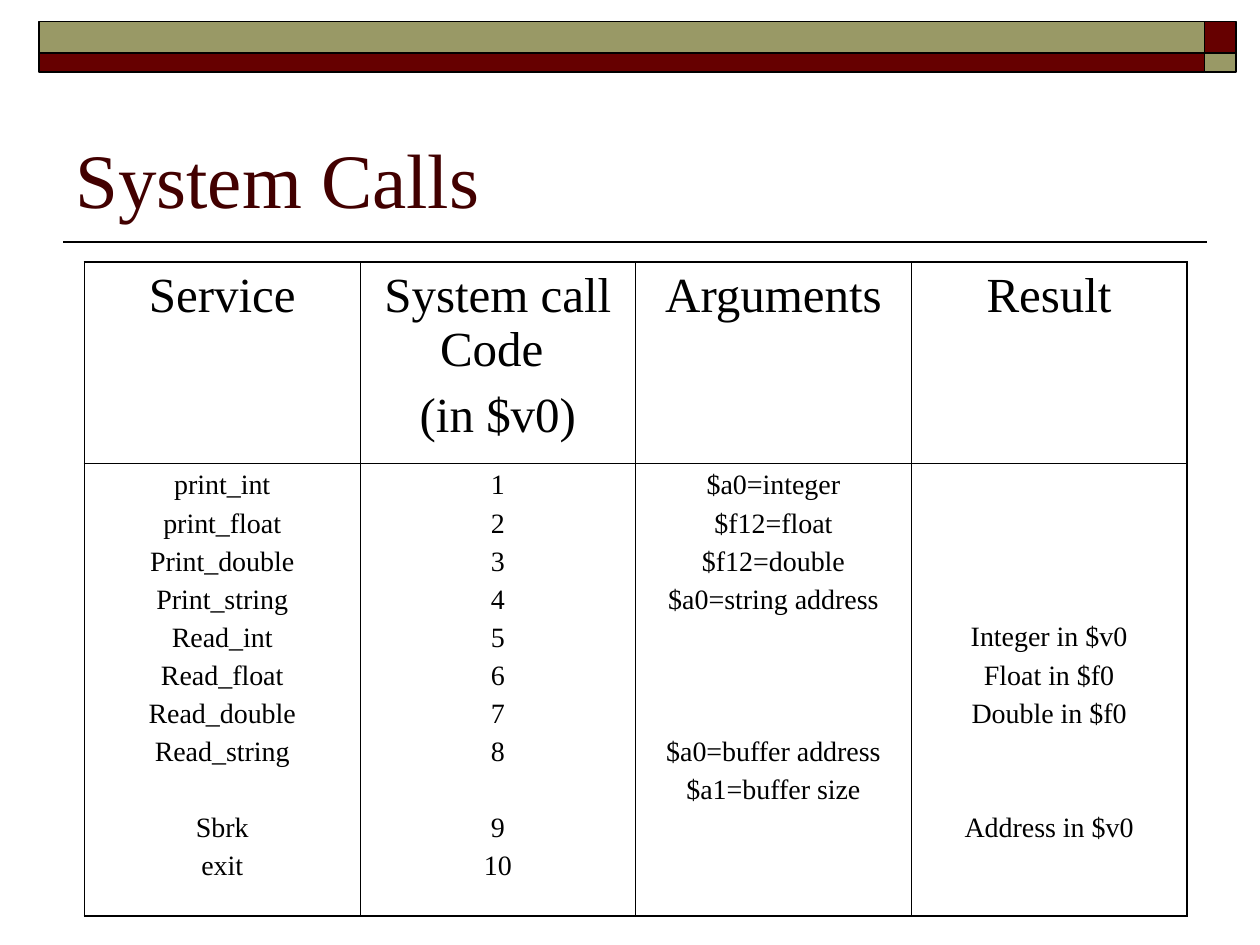
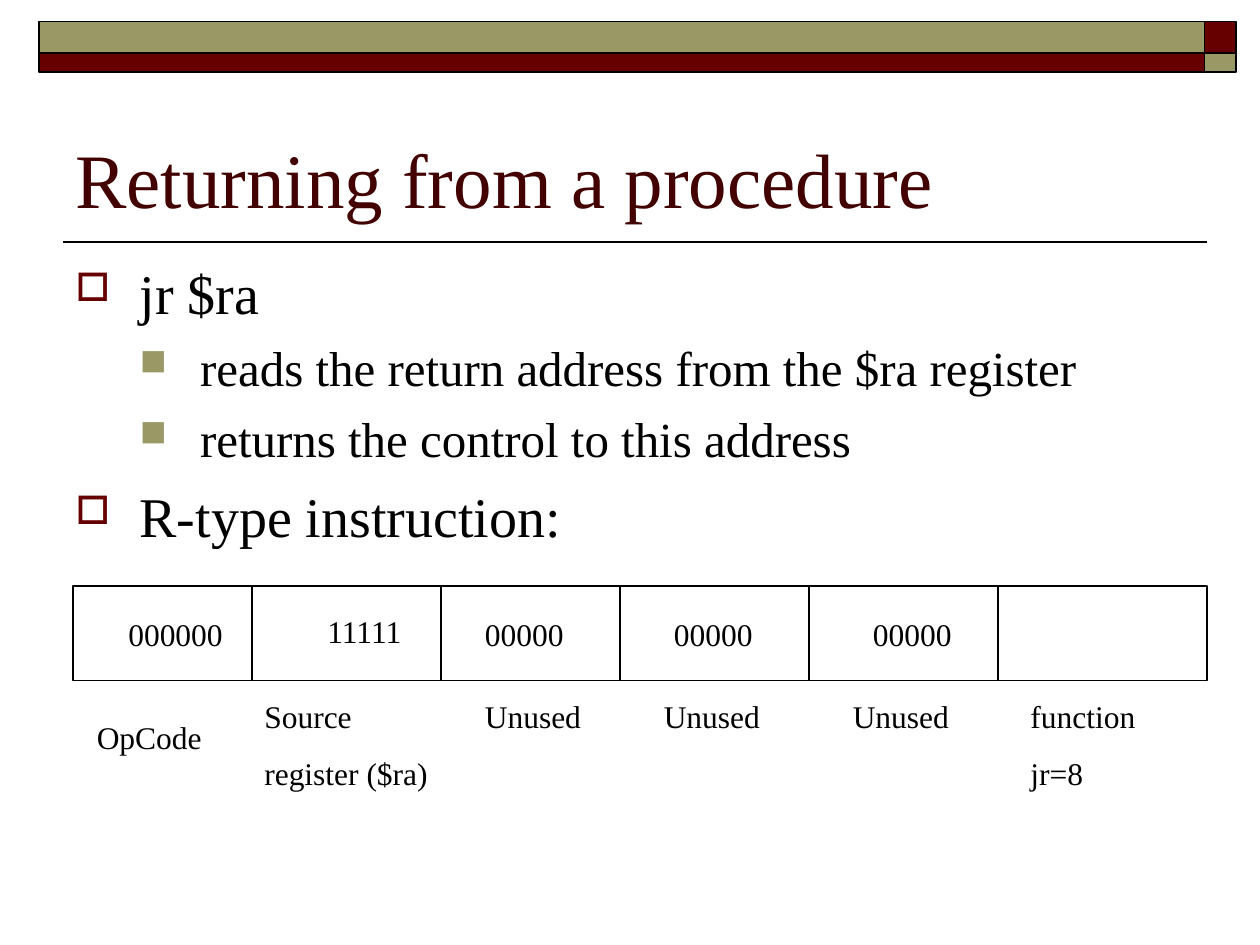
from dataclasses import dataclass

from lxml.etree import SubElement
from pptx import Presentation
from pptx.dml.color import RGBColor
from pptx.enum.shapes import MSO_CONNECTOR, MSO_SHAPE
from pptx.enum.text import MSO_ANCHOR, PP_ALIGN
from pptx.oxml import parse_xml
from pptx.oxml.ns import nsdecls, qn
from pptx.util import Inches, Pt


@dataclass(frozen=True)
class Theme:
    font: str = "Times New Roman"
    ink: str = "000000"
    paper: str = "FFFFFF"
    title_color: str = "420000"
    maroon: str = "660000"
    olive: str = "999966"
    title: int = 44
    large: int = 32
    medium: int = 28
    label: int = 18
    small: int = 16


THEME = Theme()

CALLS_TITLE = "System Calls"
CALL_HEADERS = [["Service"], ["System call Code ", "(in $v0)"], ["Arguments"], ["Result"]]
CALL_LINES = [
    ("print_int", "1", "$a0=integer", ""),
    ("print_float", "2", "$f12=float", ""),
    ("Print_double", "3", "$f12=double", ""),
    ("Print_string", "4", "$a0=string address", ""),
    ("Read_int", "5", "", "Integer in $v0"),
    ("Read_float", "6", "", "Float in $f0"),
    ("Read_double", "7", "", "Double in $f0"),
    ("Read_string", "8", "$a0=buffer address", ""),
    ("", "", "$a1=buffer size", ""),
    ("Sbrk", "9", "", "Address in $v0"),
    ("exit", "10", "", ""),
]
CALL_ROW_HEIGHTS = (1.6, 3.59)
CALL_SPACING = 4
CALL_PITCH = 1.107 * THEME.small + CALL_SPACING

RETURN_TITLE = "Returning from a procedure"
RETURN_POINTS = [
    (0, "jr $ra"),
    (1, "reads the return address from the $ra register"),
    (1, "returns the control to this address"),
    (0, "R-type instruction:"),
]
POINT_LEVELS = [
    dict(size=THEME.large, before=8, bullet=("□", THEME.maroon, 70), indent=(0.51, 0.51)),
    dict(size=THEME.medium, before=7, bullet=("■", THEME.olive, 75), indent=(0.99, 0.48)),
]

FIELD_LEFT, FIELD_TOP, FIELD_WIDTH, FIELD_HEIGHT = 0.58, 4.65, 9, 0.75
FIELD_DIVIDERS = (2, 3.5, 4.92, 6.42, 7.92)
FIELD_BITS = [
    ("000000", 0.92, 4.83),
    ("11111", 2.5, 4.81),
    ("00000", 3.75, 4.83),
    ("00000", 5.25, 4.83),
    ("00000", 6.83, 4.83),
]
FIELD_NAMES = [
    (["OpCode"], 0.67, 5.65),
    (["Source", "register ($ra)"], 2, 5.48),
    (["Unused"], 3.75, 5.48),
    (["Unused"], 5.17, 5.48),
    (["Unused"], 6.67, 5.48),
    (["function", "jr=8"], 8.08, 5.48),
]

BAND_COLUMNS = ((0.31, 9.25), (9.56, 0.25))
BAND_ROWS = ((0.17, 0.25), (0.42, 0.15))


def color(value):
    return RGBColor.from_string(value)


def write(frame, text, first=False, size=THEME.label, ink=THEME.ink, before=0,
          align=PP_ALIGN.LEFT, bullet=None, indent=None):
    para = frame.paragraphs[0] if first else frame.add_paragraph()
    para.alignment = align
    para.space_before = Pt(before)
    span = para.add_run()
    span.text = text
    span.font.name = THEME.font
    span.font.size = Pt(size)
    span.font.color.rgb = color(ink)
    if bullet:
        symbol, tint, percent = bullet
        left, hanging = indent
        properties = para._p.get_or_add_pPr()
        properties.set("marL", str(Inches(left)))
        properties.set("indent", str(-Inches(hanging)))
        bullet_color = SubElement(properties, qn("a:buClr"))
        SubElement(bullet_color, qn("a:srgbClr"), val=tint)
        SubElement(properties, qn("a:buSzPct"), val=str(percent * 1000))
        SubElement(properties, qn("a:buChar"), char=symbol)


def add_text_box(page, left, top, width, height, anchor=MSO_ANCHOR.TOP):
    box = page.shapes.add_textbox(Inches(left), Inches(top), Inches(width), Inches(height))
    box.text_frame.word_wrap = True
    box.text_frame.vertical_anchor = anchor
    return box.text_frame


def add_rectangle(page, left, top, width, height, fill, weight):
    shape = page.shapes.add_shape(
        MSO_SHAPE.RECTANGLE, Inches(left), Inches(top), Inches(width), Inches(height))
    shape.shadow.inherit = False
    shape.fill.solid()
    shape.fill.fore_color.rgb = color(fill)
    shape.line.color.rgb = color(THEME.ink)
    shape.line.width = Pt(weight)


def add_line(page, start, end, weight):
    line = page.shapes.add_connector(
        MSO_CONNECTOR.STRAIGHT, *(Inches(value) for value in (*start, *end)))
    line.line.color.rgb = color(THEME.ink)
    line.line.width = Pt(weight)
    SubElement(line._element.spPr, qn("a:effectLst"))


def add_page(deck, title):
    page = deck.slides.add_slide(deck.slide_layouts[6])
    add_line(page, (0.5, 1.92), (9.58, 1.92), 1)
    for row, (top, height) in enumerate(BAND_ROWS):
        for column, (left, width) in enumerate(BAND_COLUMNS):
            fill = THEME.olive if row == column else THEME.maroon
            add_rectangle(page, left, top, width, height, fill, 1)
    frame = add_text_box(page, 0.5, 0.58, 9, 1.25, MSO_ANCHOR.BOTTOM)
    write(frame, title, first=True, size=THEME.title, ink=THEME.title_color)
    return page


def set_borders(cell, weights):
    properties = cell._tc.get_or_add_tcPr()
    for position, (side, weight) in enumerate(zip("LRTB", weights)):
        properties.insert(position, parse_xml(
            f'<a:ln{side} {nsdecls("a")} w="{Pt(weight)}"><a:solidFill>'
            f'<a:srgbClr val="{THEME.ink}"/></a:solidFill></a:ln{side}>'))


def fill_call_cell(cell, lines):
    previous = None
    for number, text in enumerate(lines):
        if not text:
            continue
        first = previous is None
        skipped = number if first else number - previous - 1
        if first:
            cell.margin_top = Inches(0.05) + Pt(skipped * CALL_PITCH)
        write(cell.text_frame, text, first=first, size=THEME.small, align=PP_ALIGN.CENTER,
              before=CALL_SPACING + (0 if first else skipped * CALL_PITCH))
        previous = number


def build_calls_page(deck):
    page = add_page(deck, CALLS_TITLE)
    count = len(CALL_HEADERS)
    table = page.shapes.add_table(
        2, count, Inches(0.67), Inches(2.08), Inches(8.75), Inches(sum(CALL_ROW_HEIGHTS))).table
    table.first_row = table.horz_banding = False
    for row, height in zip(table.rows, CALL_ROW_HEIGHTS):
        row.height = Inches(height)
    for column, header in enumerate(CALL_HEADERS):
        top_cell, body_cell = table.cell(0, column), table.cell(1, column)
        for number, text in enumerate(header):
            write(top_cell.text_frame, text, first=number == 0, size=THEME.medium,
                  before=7, align=PP_ALIGN.CENTER)
        fill_call_cell(body_cell, [line[column] for line in CALL_LINES])
        for row, cell in enumerate((top_cell, body_cell)):
            cell.fill.background()
            outer = (column == 0, column == count - 1, row == 0, row == 1)
            set_borders(cell, [1.08 if edge else 0.45 for edge in outer])


def build_return_page(deck):
    page = add_page(deck, RETURN_TITLE)
    frame = add_text_box(page, 0.5, 2, 9, 4.7)
    for number, (level, text) in enumerate(RETURN_POINTS):
        write(frame, text, first=number == 0, **POINT_LEVELS[level])
    add_rectangle(page, FIELD_LEFT, FIELD_TOP, FIELD_WIDTH, FIELD_HEIGHT, THEME.paper, 0.75)
    for divider in FIELD_DIVIDERS:
        add_line(page, (divider, FIELD_TOP), (divider, FIELD_TOP + FIELD_HEIGHT), 0.75)
    for bits, left, top in FIELD_BITS:
        write(add_text_box(page, left, top, 1.33, 0.4), bits, first=True, before=11.2)
    for lines, left, top in FIELD_NAMES:
        frame = add_text_box(page, left, top, 1.5, 0.4 + 0.46 * (len(lines) - 1))
        for number, text in enumerate(lines):
            write(frame, text, first=number == 0, before=11.2)


def main():
    deck = Presentation()
    deck.slide_width, deck.slide_height = Inches(10), Inches(7.5)
    build_calls_page(deck)
    build_return_page(deck)
    deck.save("out.pptx")


if __name__ == "__main__":
    main()
